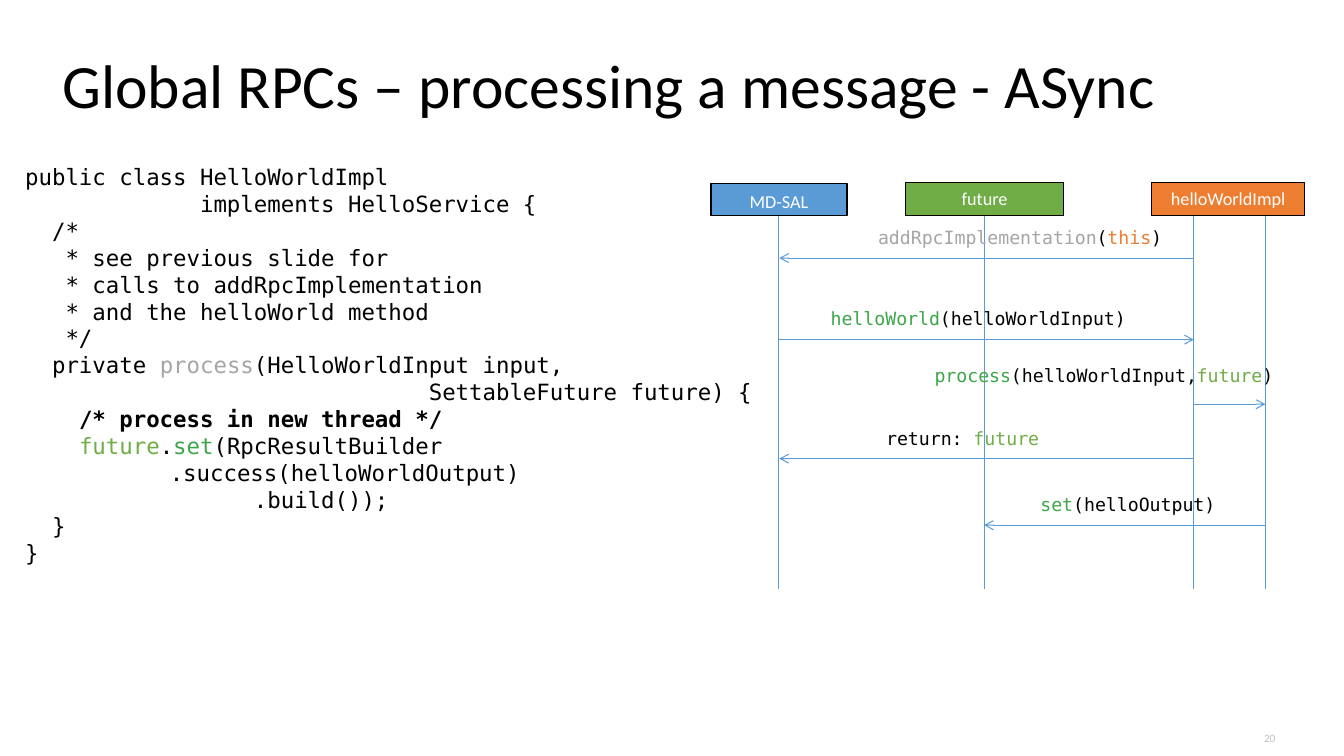
from lxml.etree import SubElement
from pptx import Presentation
from pptx.dml.color import RGBColor
from pptx.enum.shapes import MSO_CONNECTOR as Line, MSO_SHAPE as Shape
from pptx.enum.text import MSO_ANCHOR as Anchor, MSO_AUTO_SIZE as Auto, PP_ALIGN as Align
from pptx.oxml.ns import qn
from pptx.util import Inches, Pt

BLACK, GREY, BLUE = "000000", "A5A5A5", "5B9BD5"
ORANGE, LIME, GREEN = "ED7D31", "70AD47", "3DA649"
SANS, MONO = "Calibri", "DejaVu Sans Mono"

TITLE = "Global RPCs – processing a message - ASync"
CODE = [
    [("public class HelloWorldImpl", BLACK)],
    [("             implements HelloService {", BLACK)],
    [("  /*", BLACK)],
    [("   * see previous slide for", BLACK)],
    [("   * calls to addRpcImplementation", BLACK)],
    [("   * and the helloWorld method", BLACK)],
    [("   */", BLACK)],
    [("  private ", BLACK), ("process", GREY), ("(HelloWorldInput input,", BLACK)],
    [("                              SettableFuture future) {", BLACK)],
    [("    ", BLACK), ("/* process in new thread */", BLACK, True)],
    [("    ", BLACK), ("future", LIME), (".", BLACK), ("set", GREEN),
     ("(RpcResultBuilder", BLACK)],
    [("\t       .success(helloWorldOutput)", BLACK)],
    [("                 .build());", BLACK)],
    [("  }", BLACK)],
    [("}", BLACK)],
]
ACTORS = [
    ("MD-SAL", BLUE, 7.05, 1.82, 1.35, 0.07, None),
    ("helloWorldImpl", ORANGE, 11.42, 1.81, 1.52, 0.05, 11.84),
    ("future", LIME, 8.98, 1.81, 1.57, 0.05, None),
]
SAL, FUTURE, IMPL, WORKER = 7.73, 9.76, 11.84, 12.55
TOP, END = 2.14, 5.84
CALLS = [
    (IMPL, SAL, 2.56, (8.61, 2.22, 3.05),
     [("addRpcImplementation", GREY), ("(", BLACK), ("this", ORANGE), (")", BLACK)]),
    (SAL, IMPL, 3.37, (8.14, 3.02, 3.16),
     [("helloWorld", GREEN), ("(helloWorldInput)", BLACK)]),
    (IMPL, WORKER, 4.01, (9.17, 3.59, 3.59),
     [("process", GREEN), ("(helloWorldInput,", BLACK), ("future", LIME), (")", BLACK)]),
    (IMPL, SAL, 4.55, (8.69, 4.21, 1.73),
     [("return: ", BLACK), ("future", LIME)]),
    (WORKER, FUTURE, 5.21, (10.22, 4.87, 1.95),
     [("set", GREEN), ("(helloOutput)", BLACK)]),
]


def tint(text):
    return RGBColor.from_string(text)


def place(item, *box):
    item.left, item.top, item.width, item.height = map(Inches, box)


def style(para, font, size, color=None):
    para.font.name, para.font.size = font, Pt(size)
    if color:
        para.font.color.rgb = tint(color)


def add_runs(para, runs):
    for text, color, *bold in runs:
        run = para.add_run()
        run.text = text
        run.font.color.rgb = tint(color)
        if bold:
            run.font.bold = True


def draw_line(x1, y1, x2, y2, arrow=False):
    line = slide.shapes.add_connector(Line.STRAIGHT, *map(Inches, (x1, y1, x2, y2)))
    line.line.color.rgb = tint(BLUE)
    line.line.width = Pt(0.75)
    if arrow:
        SubElement(line.line._get_or_add_ln(), qn("a:tailEnd"), type="arrow")
    SubElement(line._element.spPr, qn("a:effectLst"))
    return line


def add_title():
    title = slide.shapes.title
    place(title, 0.52, 0.32, 12.41, 1.12)
    frame = title.text_frame
    frame.text = TITLE
    frame.auto_size, frame.vertical_anchor = Auto.NONE, Anchor.MIDDLE
    para = frame.paragraphs[0]
    para.alignment, para.line_spacing = Align.LEFT, 0.9
    style(para, SANS, 44, BLACK)


def add_code():
    body = slide.placeholders[1]
    place(body, 0.15, 1.57, 7.58, 5.28)
    frame = body.text_frame
    frame.auto_size, frame.word_wrap = Auto.NONE, True
    for num, runs in enumerate(CODE):
        para = frame.add_paragraph() if num else frame.paragraphs[0]
        props = para._p.get_or_add_pPr()
        props.set("marL", "0")
        props.set("indent", "0")
        SubElement(props, qn("a:buNone"))
        tabs = SubElement(props, qn("a:tabLst"))
        SubElement(tabs, qn("a:tab"), pos=str(Inches(1)), algn="l")
        para.space_before, para.line_spacing = Pt(0), 1.0
        style(para, MONO, 16)
        add_runs(para, runs)


def add_actor(name, color, left, top, width, inset, life):
    box = slide.shapes.add_shape(
        Shape.RECTANGLE, *map(Inches, (left, top, width, TOP - top)))
    box.shadow.inherit = False
    box.fill.solid()
    box.fill.fore_color.rgb = tint(color)
    box.line.color.rgb = tint(BLACK)
    box.line.width = Pt(1)
    frame = box.text_frame
    frame.text = name
    frame.vertical_anchor = Anchor.TOP
    frame.margin_top = frame.margin_bottom = Inches(inset)
    para = frame.paragraphs[0]
    para.alignment = Align.CENTER
    style(para, SANS, 13, "FFFFFF")
    x = life or left + width / 2
    line = draw_line(x, TOP, x, END)
    if not life:
        line.begin_connect(box, 2)


def add_call(start, stop, y, spot, runs):
    draw_line(start, y, stop, y, True)
    left, top, width = spot
    label = slide.shapes.add_textbox(*map(Inches, (left, top, width, 0.3)))
    frame = label.text_frame
    frame.word_wrap = False
    frame.auto_size = Auto.SHAPE_TO_FIT_TEXT
    para = frame.paragraphs[0]
    para.line_spacing = 0.9
    style(para, MONO, 13)
    add_runs(para, runs)


def add_number():
    box = slide.shapes.add_textbox(*map(Inches, (12.26, 7.14, 0.52, 0.36)))
    frame = box.text_frame
    frame.word_wrap, frame.vertical_anchor = True, Anchor.MIDDLE
    frame.margin_left = frame.margin_right = Inches(0.13)
    frame.margin_top = frame.margin_bottom = Inches(0.07)
    frame.text = "20"
    para = frame.paragraphs[0]
    para.alignment = Align.RIGHT
    style(para, SANS, 8, "BFBFBF")


deck = Presentation()
deck.slide_width, deck.slide_height = Inches(13.33), Inches(7.5)
slide = deck.slides.add_slide(deck.slide_layouts[1])
add_title()
add_code()
add_number()
for actor in ACTORS:
    add_actor(*actor)
draw_line(WORKER, TOP, WORKER, END)
for call in CALLS:
    add_call(*call)
deck.save("out.pptx")
